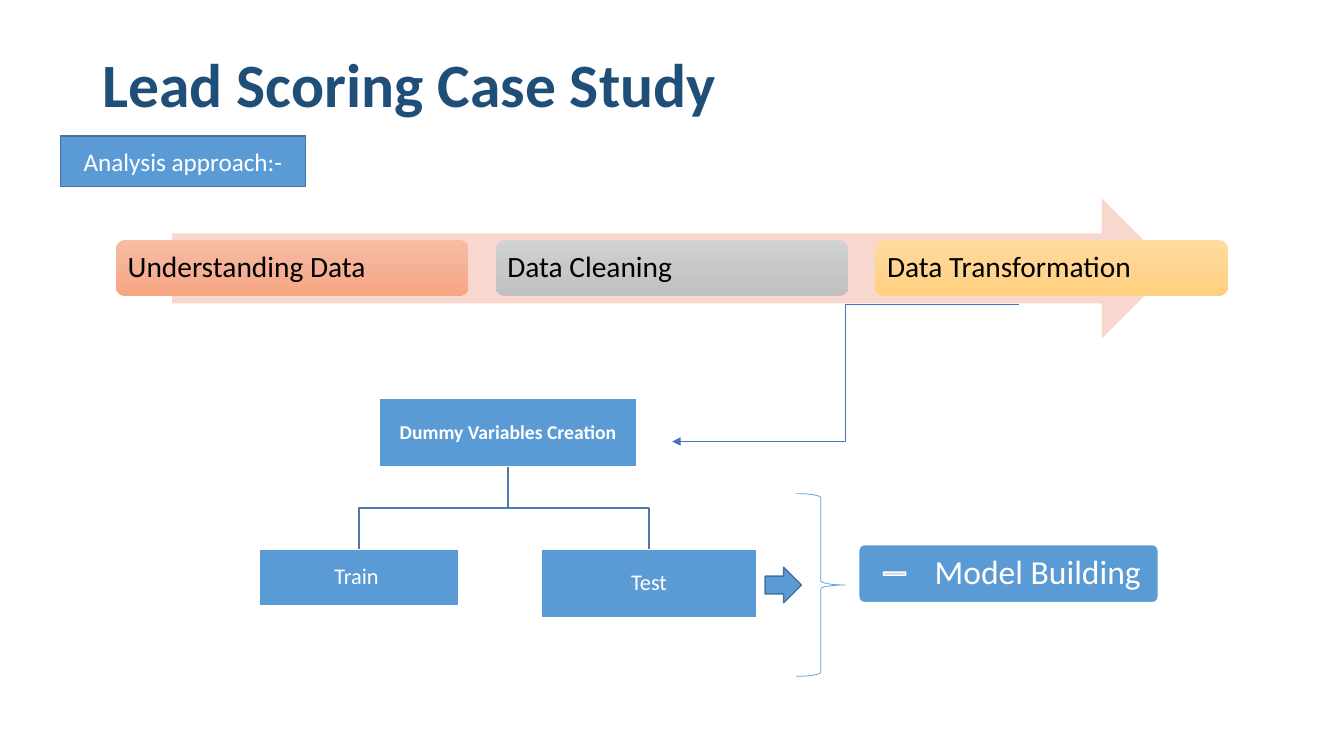
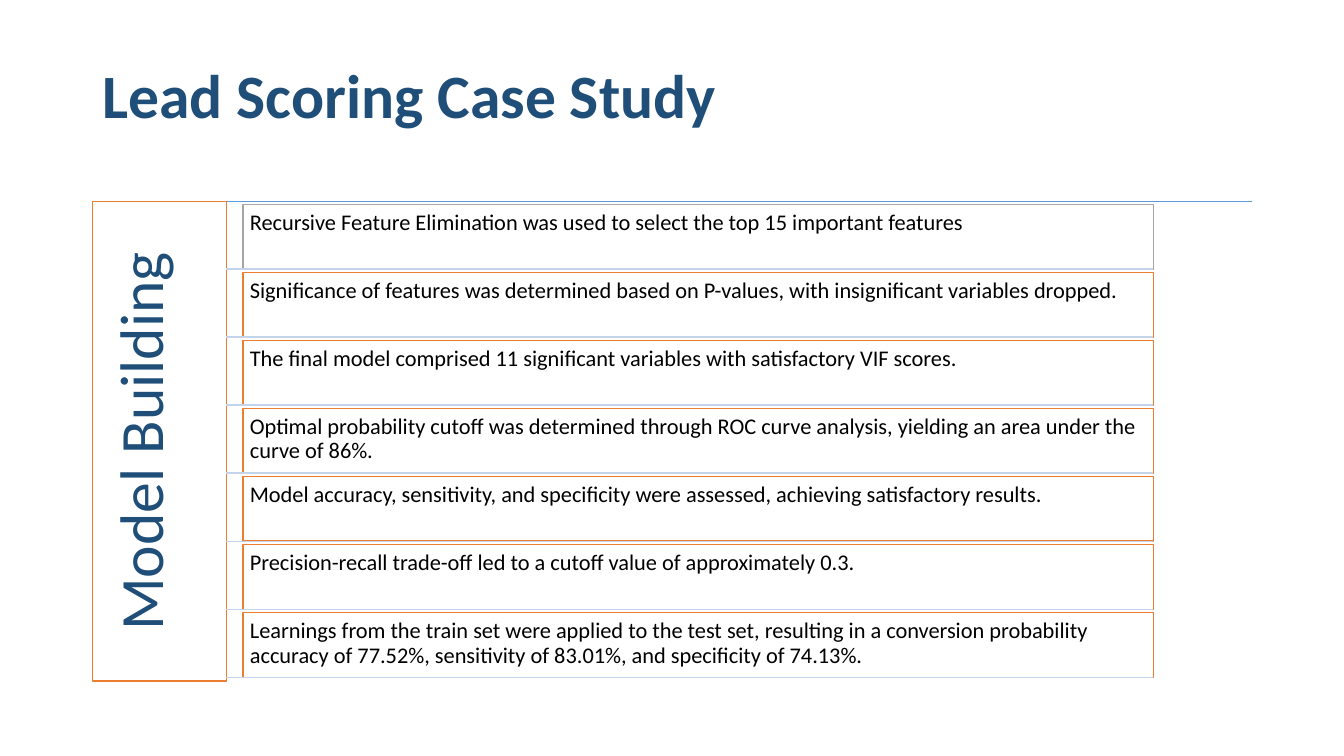
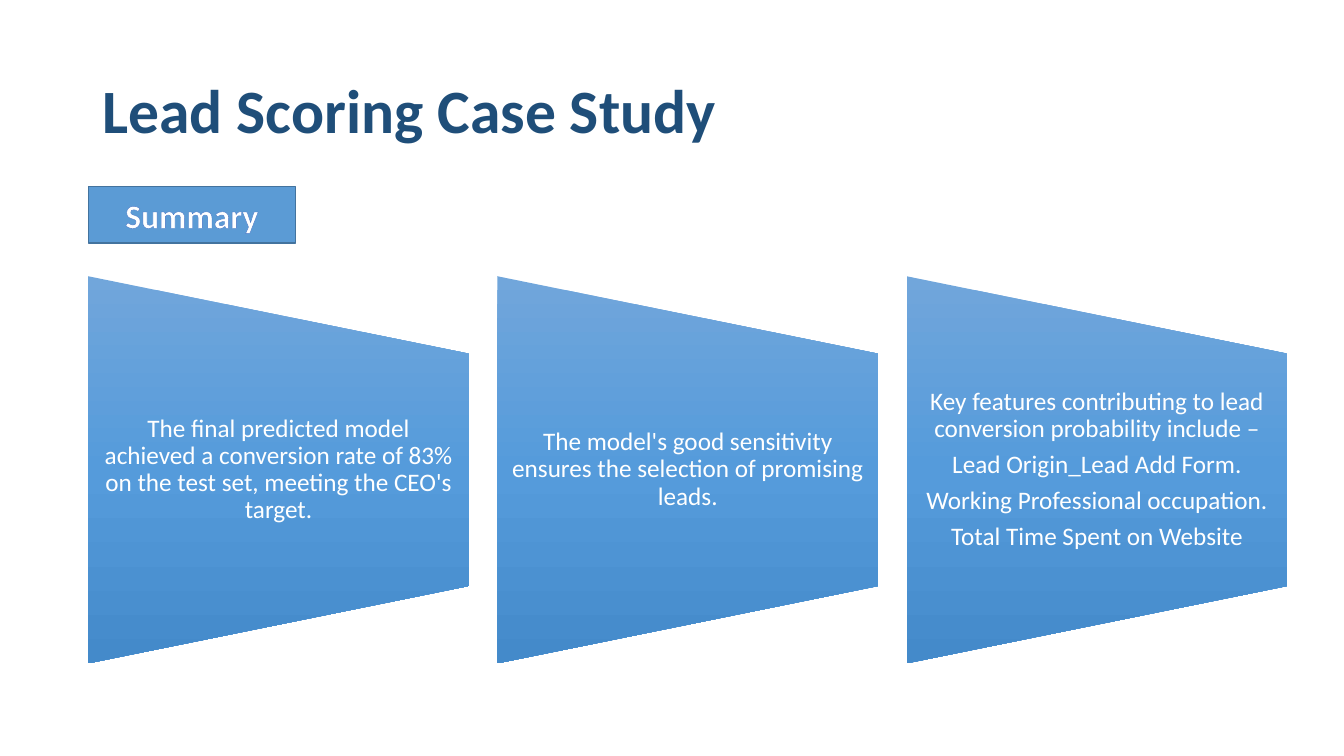
"""Build three slides on a lead scoring case study."""
import pptx
import pptx.dml.color
import pptx.enum.shapes
import pptx.enum.text
import pptx.oxml
import pptx.oxml.ns
import pptx.util

Pt = pptx.util.Pt
RGBColor = pptx.dml.color.RGBColor
Shape = pptx.enum.shapes.MSO_SHAPE
Connector = pptx.enum.shapes.MSO_CONNECTOR
Align = pptx.enum.text.PP_ALIGN
Anchor = pptx.enum.text.MSO_ANCHOR
qn = pptx.oxml.ns.qn

FONT = "Calibri"
TITLE = "Lead Scoring Case Study"
WHITE = RGBColor(0xFF, 0xFF, 0xFF)
BLACK = RGBColor(0x00, 0x00, 0x00)
NAVY = RGBColor(0x1F, 0x4E, 0x79)
BLUE = RGBColor(0x5B, 0x9B, 0xD5)
BLUE_EDGE = RGBColor(0x43, 0x73, 0x9E)
BRANCH_BLUE = RGBColor(0x49, 0x7C, 0xAB)
ROYAL = RGBColor(0x44, 0x72, 0xC4)
PALE_BLUE = RGBColor(0xC4, 0xD5, 0xEB)
ORANGE = RGBColor(0xED, 0x7D, 0x31)
GRAY = RGBColor(0xA5, 0xA5, 0xA5)
PINK = RGBColor(0xF8, 0xD7, 0xCE)


def shades(*codes):
    """Return the colours of a gradient from top to bottom."""
    return [RGBColor.from_string(code) for code in codes]


STAGES = [
    ("Understanding Data", shades("F7BDA5", "F5B196", "F8A582")),
    ("Data Cleaning", shades("D2D2D2", "C8C8C8", "C0C0C0")),
    ("Data Transformation", shades("FFDB9E", "FFD590", "FFD07C")),
]
PANEL_SHADES = shades("71A6DB", "559BDB", "448ACA")
MODEL_STEPS = [
    "Recursive Feature Elimination was used to select the top 15 important features",
    "Significance of features was determined based on P-values, with insignificant variables dropped.",
    "The final model comprised 11 significant variables with satisfactory VIF scores.",
    "Optimal probability cutoff was determined through ROC curve analysis, "
    "yielding an area under the curve of 86%.",
    "Model accuracy, sensitivity, and specificity were assessed, achieving satisfactory results.",
    "Precision-recall trade-off led to a cutoff value of approximately 0.3.",
    "Learnings from the train set were applied to the test set, resulting in a conversion "
    "probability accuracy of 77.52%, sensitivity of 83.01%, and specificity of 74.13%.",
]
FINDINGS = [
    "The final predicted model achieved a conversion rate of 83% on the test set, "
    "meeting the CEO's target.",
    "The model's good sensitivity ensures the selection of promising leads.",
    "Key features contributing to lead conversion probability include –\n"
    "Lead Origin_Lead Add Form.\nWorking Professional occupation.\nTotal Time Spent on Website",
]


def write(box, text, size, color=WHITE, bold=False, align=Align.CENTER,
          anchor=Anchor.MIDDLE, insets=(7.2, 3.6, 7.2, 3.6)):
    """Put formatted text into a shape; insets run left, top, right, bottom."""
    frame = box.text_frame
    frame.text = text
    frame.word_wrap = True
    frame.vertical_anchor = anchor
    frame.margin_left, frame.margin_top, frame.margin_right, frame.margin_bottom = map(Pt, insets)
    for para in frame.paragraphs:
        para.alignment = align
        para.line_spacing = 0.9
        para.space_before = Pt(0)
        para.space_after = Pt(round(0.35 * size, 2))
        for span in para.runs:
            span.font.name = FONT
            span.font.size = Pt(size)
            span.font.bold = bold
            span.font.color.rgb = color


def add_page(deck, top, height):
    """Add a slide with the shared title."""
    page = deck.slides.add_slide(deck.slide_layouts[5])
    title = page.shapes.title
    title.left, title.top, title.width, title.height = Pt(66), Pt(top), Pt(828), Pt(height)
    write(title, TITLE, 44, NAVY, bold=True, align=Align.LEFT)
    title.text_frame.paragraphs[0].space_after = Pt(0)
    return page


def paint_gradient(box, colors):
    """Fill a shape from top to bottom, whatever its rotation."""
    box.fill.gradient()
    box.fill.gradient_angle = 270
    gradient = box._element.spPr.find(qn("a:gradFill"))
    gradient.set("rotWithShape", "0")
    stops = gradient.find(qn("a:gsLst"))
    for stop in list(stops):
        stops.remove(stop)
    for index, color in enumerate(colors):
        stop = pptx.oxml.parse_xml(
            f'<a:gs {pptx.oxml.ns.nsdecls("a")} pos="{index * 100000 // (len(colors) - 1)}">'
            f'<a:srgbClr val="{color}"/></a:gs>')
        stops.append(stop)


def style(box, fill=None, line=None, weight=1):
    """Set the fill (none, colour or gradient list) and outline of a shape."""
    box.shadow.inherit = False
    if fill is None:
        box.fill.background()
    elif isinstance(fill, list):
        paint_gradient(box, fill)
    else:
        box.fill.solid()
        box.fill.fore_color.rgb = fill
    if line is None:
        box.line.fill.background()
    else:
        box.line.color.rgb = line
        box.line.width = Pt(weight)


def add_box(page, kind, left, top, width, height, fill=None, line=None, weight=1):
    """Add a styled preset shape."""
    box = page.shapes.add_shape(kind, Pt(left), Pt(top), Pt(width), Pt(height))
    style(box, fill, line, weight)
    return box


def add_line(page, start, end, color, kind=Connector.STRAIGHT, arrow=False):
    """Add a connector, with an arrowhead at its end if asked."""
    line = page.shapes.add_connector(kind, *map(Pt, start + end))
    line.line.color.rgb = color
    line.line.width = Pt(1)
    properties = line._element.spPr
    if arrow:
        head = pptx.oxml.parse_xml(f'<a:tailEnd {pptx.oxml.ns.nsdecls("a")} type="triangle"/>')
        properties.find(qn("a:ln")).append(head)
    properties.append(pptx.oxml.parse_xml(f'<a:effectLst {pptx.oxml.ns.nsdecls("a")}/>'))


def add_branch(page, parent, child):
    """Draw the tree branch from a parent's bottom to a child's top."""
    start_x = parent.left + parent.width // 2
    start_y = parent.top + parent.height
    end_x = child.left + child.width // 2
    middle_y = (start_y + child.top) // 2
    builder = page.shapes.build_freeform(start_x, start_y)
    builder.add_line_segments(
        [(start_x, middle_y), (end_x, middle_y), (end_x, child.top)], close=False)
    style(builder.convert_to_shape(), line=BRANCH_BLUE)


def add_node(page, left, top, width, height, text, size, bold=False):
    """Add a box of the tree."""
    node = add_box(page, Shape.RECTANGLE, left, top, width, height, BLUE, WHITE)
    write(node, text, size, bold=bold, insets=(0.7,) * 4)
    return node


def outline_text(box, color):
    """Draw a thin outline around the letters of a box."""
    for span in box.text_frame.paragraphs[0].runs:
        span._r.get_or_add_rPr().insert(0, pptx.oxml.parse_xml(
            f'<a:ln {pptx.oxml.ns.nsdecls("a")} w="{Pt(0.8)}"><a:solidFill>'
            f'<a:srgbClr val="{color}"/></a:solidFill></a:ln>'))


def build_approach(deck):
    """Build the analysis approach slide."""
    page = add_page(deck, 28.8, 67)
    tag = add_box(page, Shape.RECTANGLE, 43.2, 97.2, 175, 36, BLUE, BLUE_EDGE)
    write(tag, "Analysis approach:-", 18)
    tag.text_frame.paragraphs[0].line_spacing = 1.0
    tag.text_frame.paragraphs[0].space_after = Pt(0)

    add_box(page, Shape.RIGHT_ARROW, 123, 141.8, 714, 100, PINK)
    for index, (name, colors) in enumerate(STAGES):
        stage = add_box(page, Shape.ROUNDED_RECTANGLE, 82.8 + 271.2 * index, 171.3,
                        252, 40, colors)
        write(stage, name, 21, BLACK, align=Align.LEFT, insets=(6.5,) * 4)

    dummy = add_node(page, 270.9, 284.6, 184, 49, "Dummy Variables Creation", 14, bold=True)
    train = add_node(page, 185.2, 392.4, 142.5, 40, "Train ", 16)
    test = add_node(page, 386.6, 392.4, 154, 49, "Test", 16)
    for child in (test, train):
        add_branch(page, dummy, child)

    add_line(page, (728, 217.5), (480.2, 315.4), ROYAL, Connector.ELBOW, arrow=True)
    add_box(page, Shape.RIGHT_BRACE, 568.8, 352.6, 35, 130.5, line=BLUE, weight=0.5)
    model = add_box(page, Shape.ROUNDED_RECTANGLE, 613.4, 389, 214, 41.5, BLUE, WHITE)
    model.adjustments[0] = 0.1
    write(model, "Model Building", 24, align=Align.LEFT, insets=(53, 7, 5, 7))
    dash = add_box(page, Shape.ROUNDED_RECTANGLE, 631.2, 408.7, 15.8, 2.2, PALE_BLUE, WHITE)
    dash.adjustments[0] = 0.1
    add_box(page, Shape.RIGHT_ARROW, 546.5, 405.2, 26, 25.4, BLUE, BLUE_EDGE)


def build_model(deck):
    """Build the model building slide."""
    page = add_page(deck, 18, 104.4)
    page.shapes.title.fill.solid()
    page.shapes.title.fill.fore_color.rgb = WHITE
    add_line(page, (66, 144), (894, 144), BLUE)
    side = add_box(page, Shape.RECTANGLE, 66, 144, 95.6, 342.6, line=ORANGE)
    write(side, "Model Building", 44, NAVY, anchor=Anchor.TOP, insets=(13,) * 4)
    side.text_frame._txBody.bodyPr.set("vert", "vert270")

    height = 46.2
    for index, step in enumerate(MODEL_STEPS):
        top = 146 + 48.6 * index
        row = add_box(page, Shape.RECTANGLE, 173.5, top, 650.3, height, WHITE,
                      ORANGE if index else GRAY)
        write(row, step, 16, BLACK, align=Align.LEFT, anchor=Anchor.TOP, insets=(5,) * 4)
        add_line(page, (161.6, top + height), (823.8, top + height), PALE_BLUE)


def build_summary(deck):
    """Build the summary slide."""
    page = add_page(deck, 28.8, 104.4)
    width, height, top = 272, 276.5, 197.3
    shift = (height - width) / 2
    for index, finding in enumerate(FINDINGS):
        left = 63 + 292.3 * index
        panel = add_box(page, Shape.FLOWCHART_MANUAL_OPERATION, left - shift, top + shift,
                        height, width, PANEL_SHADES)
        panel.rotation = 270
        label = page.shapes.add_textbox(Pt(left), Pt(top + height / 5), Pt(width),
                                        Pt(height * 3 / 5))
        write(label, finding, 18, insets=(8.6, 0, 8.6, 0))

    tag = add_box(page, Shape.RECTANGLE, 63, 133.2, 148, 40.5, BLUE, BLUE_EDGE)
    write(tag, "Summary", 24, bold=True)
    tag.text_frame.paragraphs[0].line_spacing = 1.0
    tag.text_frame.paragraphs[0].space_after = Pt(0)
    outline_text(tag, ROYAL)


def main():
    """Build and save the deck."""
    deck = pptx.Presentation()
    deck.slide_width, deck.slide_height = Pt(960), Pt(540)
    build_approach(deck)
    build_model(deck)
    build_summary(deck)
    deck.save("out.pptx")


if __name__ == "__main__":
    main()
